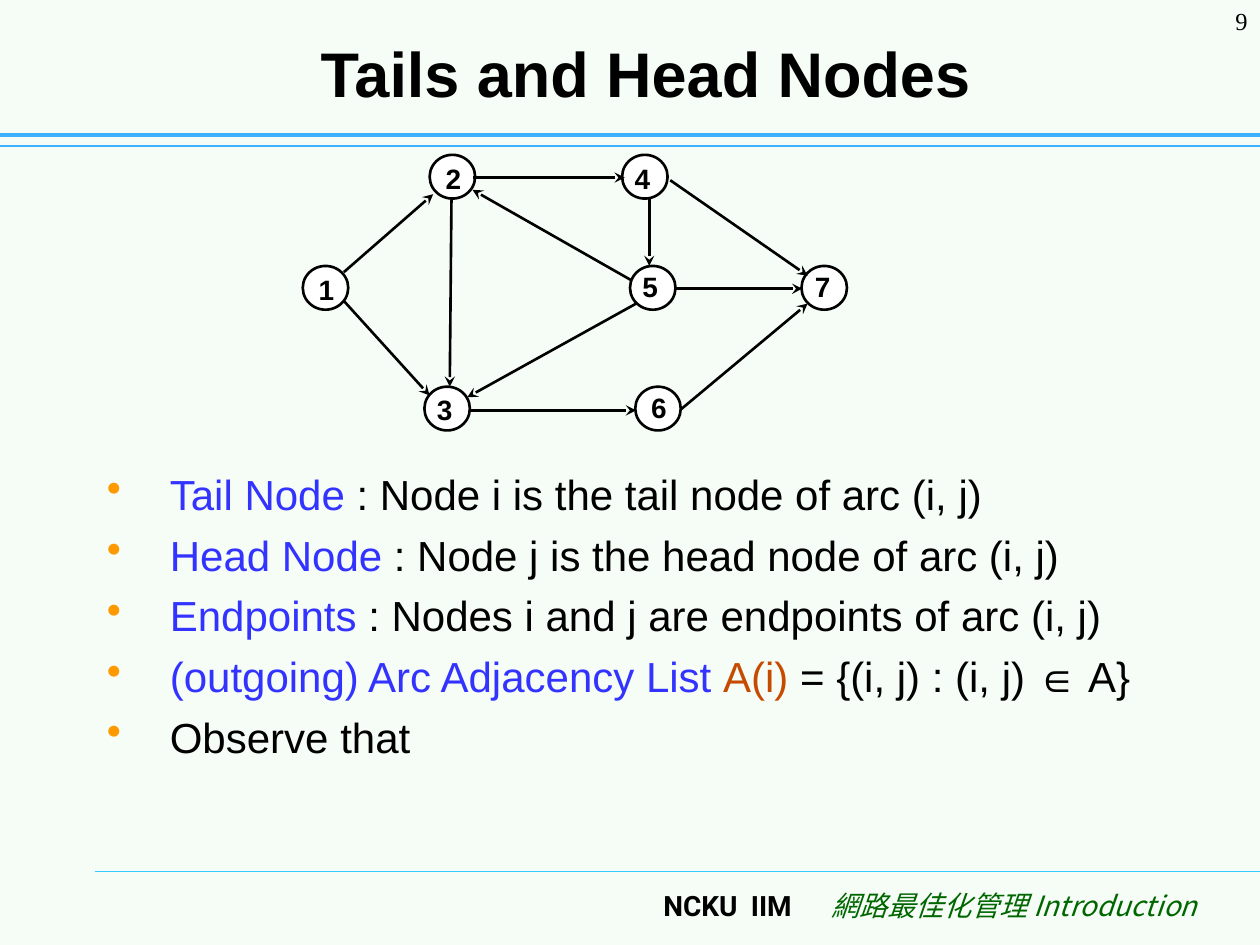
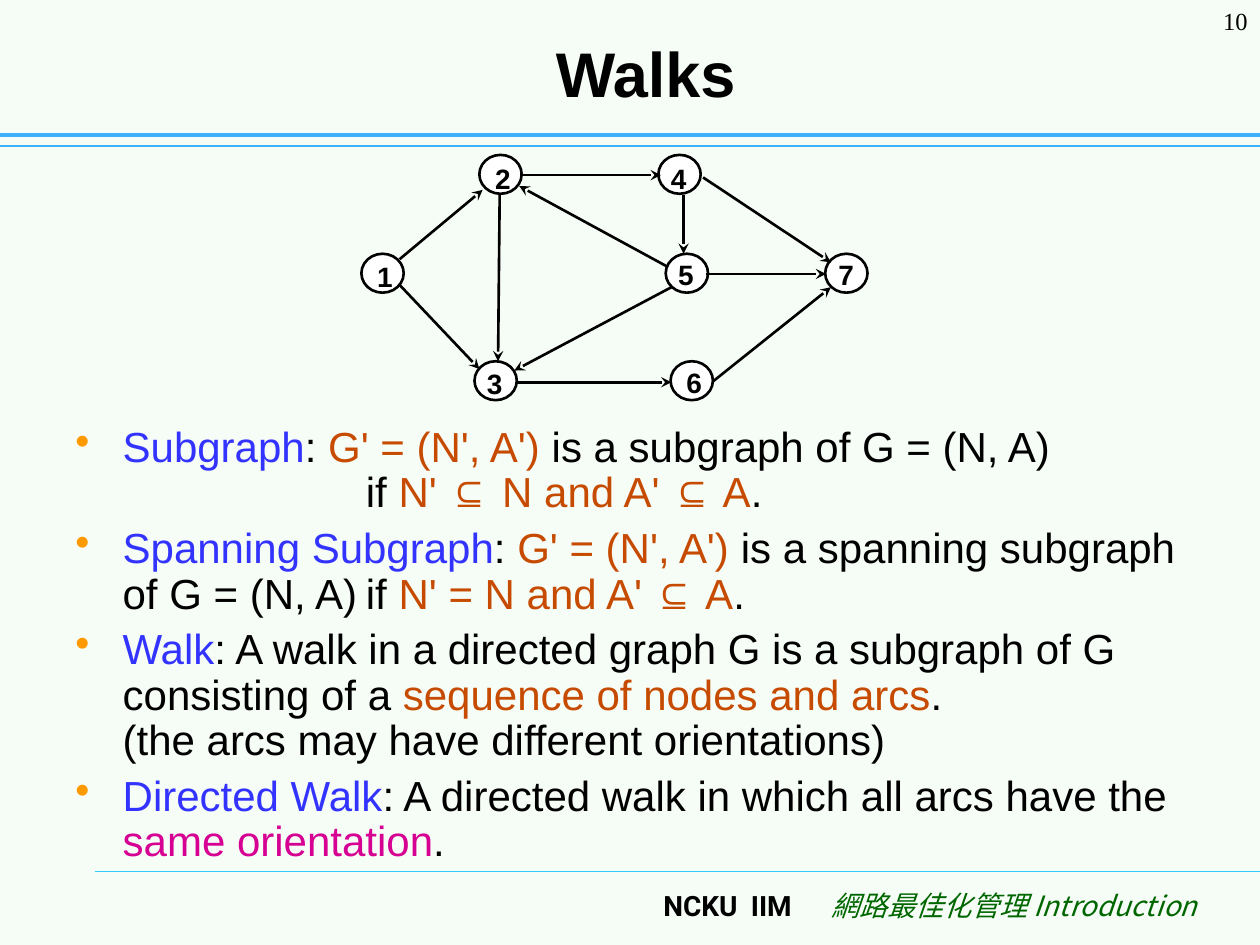
from lxml import etree
from pptx import Presentation
from pptx.dml.color import RGBColor
from pptx.enum import shapes, text
from pptx.oxml.ns import qn
from pptx.util import Pt

BACKGROUND = RGBColor(0xF6, 0xFC, 0xF6)
BLACK = RGBColor(0, 0, 0)
WHITE = RGBColor(0xFF, 0xFF, 0xFF)
RULE = RGBColor(0x3D, 0xB0, 0xFF)
FOOT_RULE = RGBColor(0x33, 0xCC, 0xFF)
GREEN = RGBColor(0, 0x66, 0)
BLUE = RGBColor(0x33, 0x33, 0xFF)
ORANGE = RGBColor(0xC6, 0x4B, 0x00)
PINK = RGBColor(0xD6, 0x00, 0x93)
BULLET = RGBColor(0xFF, 0x99, 0x00)

TITLE = {"size": Pt(36), "name": "Arial", "bold": True}
BODY = {"size": Pt(24), "name": "Arial"}
LABEL = {"size": Pt(16), "name": "Arial", "bold": True}
NUMBER = {"size": Pt(14), "name": "Times New Roman"}
SCHOOL = {"size": Pt(16), "name": "Roboto", "bold": True}
COURSE = {"size": Pt(16), "name": "Noto Sans CJK SC", "italic": True}
LEFT, CENTER, RIGHT = text.PP_ALIGN.LEFT, text.PP_ALIGN.CENTER, text.PP_ALIGN.RIGHT

# node: circle left and top, label offset from the circle
NODES = {
    "1": (173, 152, 2, 0),
    "2": (245.5, 88.5, 2, 0),
    "3": (242.5, 221, 0, -0.5),
    "4": (355.5, 88.5, 0, 0),
    "5": (360, 152, 0, -1.5),
    "6": (363, 221, 2, -1.5),
    "7": (458, 152, 0.5, -1.5),
}
ARCS = [
    (196.5, 155.5, 247.5, 111),
    (196.5, 172, 245.5, 226),
    (258, 114, 257, 221),
    (270.5, 101.5, 357, 101.5),
    (268.5, 234.5, 363.5, 234.5),
    (389, 234, 461.5, 173.5),
    (385, 165, 458.5, 165),
    (383, 103, 461.5, 157.5),
    (371, 114, 371, 152),
    (360.5, 160, 270, 108.5),
    (363.5, 173.5, 267, 227),
]

SLIDES = [
    {
        "number": "9",
        "title": "Tails and Head Nodes",
        "graph": (173, 1, 1),  # left, horizontal scale, vertical scale
        "body": (54, 264, 621, 233),
        "indent": 36,
        "spacing": 1.0,
        "points": [
            [("Tail Node", BLUE), (" : Node i is the tail node of arc (i, j)", BLACK)],
            [("Head Node", BLUE), (" : Node j is the head node of arc (i, j)", BLACK)],
            [("Endpoints", BLUE), (" : Nodes i and j are endpoints of arc (i, j)", BLACK)],
            [("(outgoing) Arc Adjacency List ", BLUE), ("A(i)", ORANGE),
             (" = {(i, j) : (i, j) ∈ A}", BLACK)],
            [("Observe that", BLACK)],
        ],
    },
    {
        "number": "10",
        "title": "Walks",
        "graph": (206.5, 0.93, 0.89),
        "body": (36, 240, 658, 263),
        "indent": 27,
        "spacing": 0.9,
        "points": [
            [("Subgraph", BLUE), (": ", BLACK), ("G' = (N', A')", ORANGE),
             (" is a subgraph of G = (N, A)\n\tif ", BLACK),
             ("N' ⊆ N and A' ⊆ A", ORANGE), (".", BLACK)],
            [("Spanning Subgraph", BLUE), (": ", BLACK), ("G' = (N', A')", ORANGE),
             (" is a spanning subgraph of G = (N, A)\tif ", BLACK),
             ("N' = N and A' ⊆ A", ORANGE), (".", BLACK)],
            [("Walk", BLUE),
             (": A walk in a directed graph G is a subgraph of G consisting of a ", BLACK),
             ("sequence of nodes and arcs", ORANGE),
             (".\n(the arcs may have different orientations)", BLACK)],
            [("Directed Walk", BLUE),
             (": A directed walk in which all arcs have the ", BLACK),
             ("same orientation", PINK), (".", BLACK)],
        ],
    },
]


def add_text(s, box, paragraphs, align=LEFT, tabs=(), indent=0, spacing=1.0):
    """Add a text box; each paragraph is a list of (text, colour, font format).

    An indent makes the paragraphs bulleted.
    """
    tf = s.shapes.add_textbox(*map(Pt, box)).text_frame
    tf.word_wrap = True
    for i, runs in enumerate(paragraphs):
        p = tf.add_paragraph() if i else tf.paragraphs[0]
        p.alignment = align
        p.line_spacing = spacing
        if i:
            p.space_before = Pt(6)
        pPr = p._p.get_or_add_pPr()
        if indent:
            pPr.set("marL", str(Pt(indent)))
            pPr.set("indent", str(-Pt(indent)))
            colour = etree.SubElement(pPr, qn("a:buClr"))
            etree.SubElement(colour, qn("a:srgbClr"), val=str(BULLET))
            etree.SubElement(pPr, qn("a:buChar"), char="•")
        if tabs:
            stops = etree.SubElement(pPr, qn("a:tabLst"))
            for pos, kind in tabs:
                etree.SubElement(stops, qn("a:tab"), pos=str(Pt(pos)), algn=kind)
        for words, colour, fmt in runs:
            for n, line in enumerate(words.split("\n")):
                if n:
                    p.add_line_break()
                r = p.add_run()
                r.text = line
                for key, value in fmt.items():
                    setattr(r.font, key, value)
                r.font.color.rgb = colour
                etree.SubElement(r._r.get_or_add_rPr(), qn("a:ea"), typeface=fmt["name"])
    return tf


def add_line(s, ends, colour, width, arrow=False):
    c = s.shapes.add_connector(shapes.MSO_CONNECTOR.STRAIGHT, *map(Pt, ends))
    c.line.color.rgb = colour
    c.line.width = Pt(width)
    if arrow:
        etree.SubElement(c.line._get_or_add_ln(), qn("a:tailEnd"), type="stealth")
    etree.SubElement(c._element.spPr, qn("a:effectLst"))


prs = Presentation()
prs.slide_width, prs.slide_height = Pt(720), Pt(540)

for page in SLIDES:
    s = prs.slides.add_slide(prs.slide_layouts[6])
    s.background.fill.solid()
    s.background.fill.fore_color.rgb = BACKGROUND

    # Rules, footer, page number and title
    add_line(s, (54, 498, 720, 498), FOOT_RULE, 0.75)
    add_line(s, (0, 83.5, 720, 83.5), RULE, 0.75)
    add_line(s, (0, 77, 720, 77), RULE, 2.5)
    add_text(s, (132, 504, 560, 36),
             [[("\tNCKU\tIIM\t", BLACK, SCHOOL), ("網路最佳化管理 Introduction", GREEN, COURSE)]],
             tabs=[(240, "l"), (290, "l"), (545, "r")])
    add_text(s, (660, 0, 60, 36), [[(page["number"], BLACK, NUMBER)]], RIGHT)
    tf = add_text(s, (53.5, 16.5, 631, 50), [[(page["title"], BLACK, TITLE)]], CENTER)
    tf.vertical_anchor = text.MSO_ANCHOR.MIDDLE

    # Bulleted definitions
    points = [[(words, colour, BODY) for words, colour in runs] for runs in page["points"]]
    add_text(s, page["body"], points, tabs=[(166, "l")],
             indent=page["indent"], spacing=page["spacing"])

    # Network, scaled from its top left corner
    left, kx, ky = page["graph"]
    x0, y0 = 173, 88.5
    for x, y, _, _ in NODES.values():
        sp = s.shapes.add_shape(shapes.MSO_SHAPE.OVAL, Pt(left + kx * (x - x0)),
                                Pt(y0 + ky * (y - y0)), Pt(26 * kx), Pt(25 * ky))
        sp.shadow.inherit = False
        sp.fill.solid()
        sp.fill.fore_color.rgb = WHITE
        sp.line.color.rgb = BLACK
        sp.line.width = Pt(1.5)
    for x1, y1, x2, y2 in ARCS:
        ends = (left + kx * (x1 - x0), y0 + ky * (y1 - y0),
                left + kx * (x2 - x0), y0 + ky * (y2 - y0))
        add_line(s, ends, BLACK, 1.5, arrow=True)
    for name, (x, y, dx, dy) in NODES.items():
        box = (left + kx * (x + dx - x0), y0 + ky * (y + dy - y0), 23, 26.5)
        tf = add_text(s, box, [[(name, BLACK, LABEL)]])
        tf.word_wrap = False
        tf.auto_size = text.MSO_AUTO_SIZE.SHAPE_TO_FIT_TEXT

prs.save("out.pptx")
